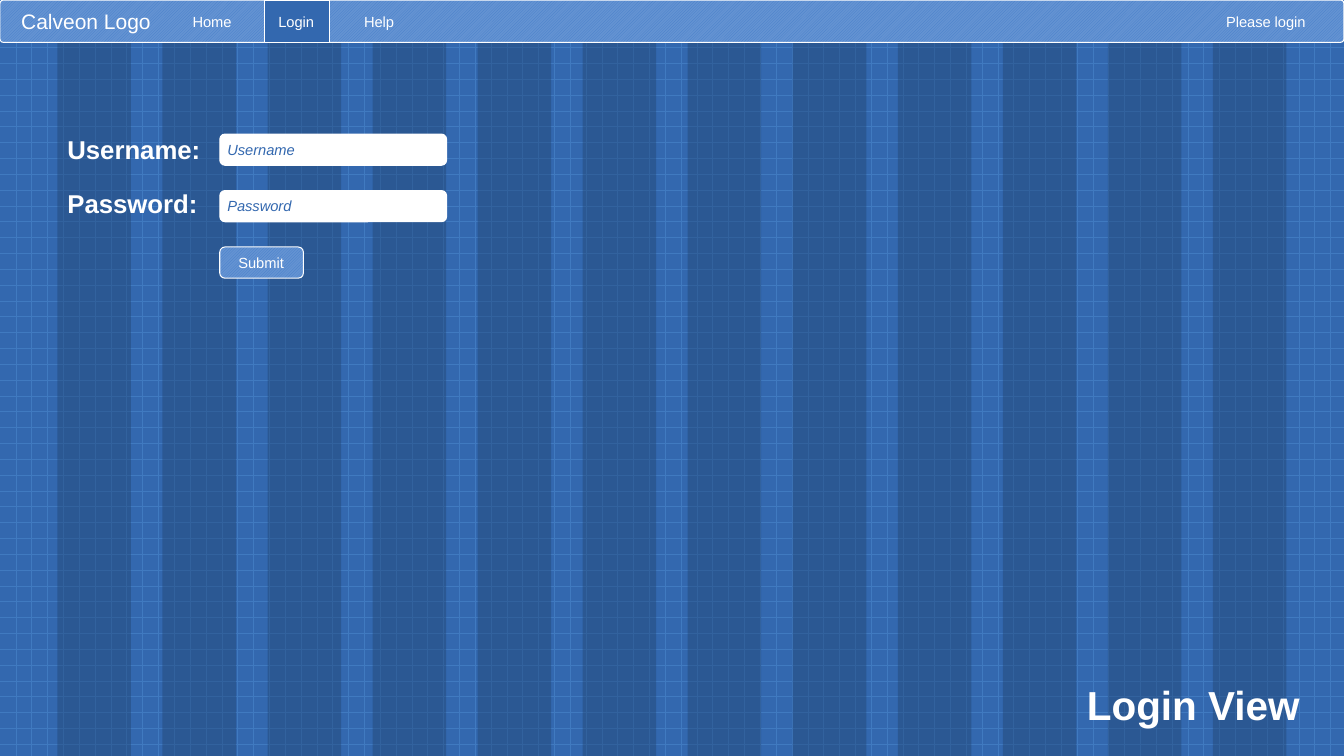
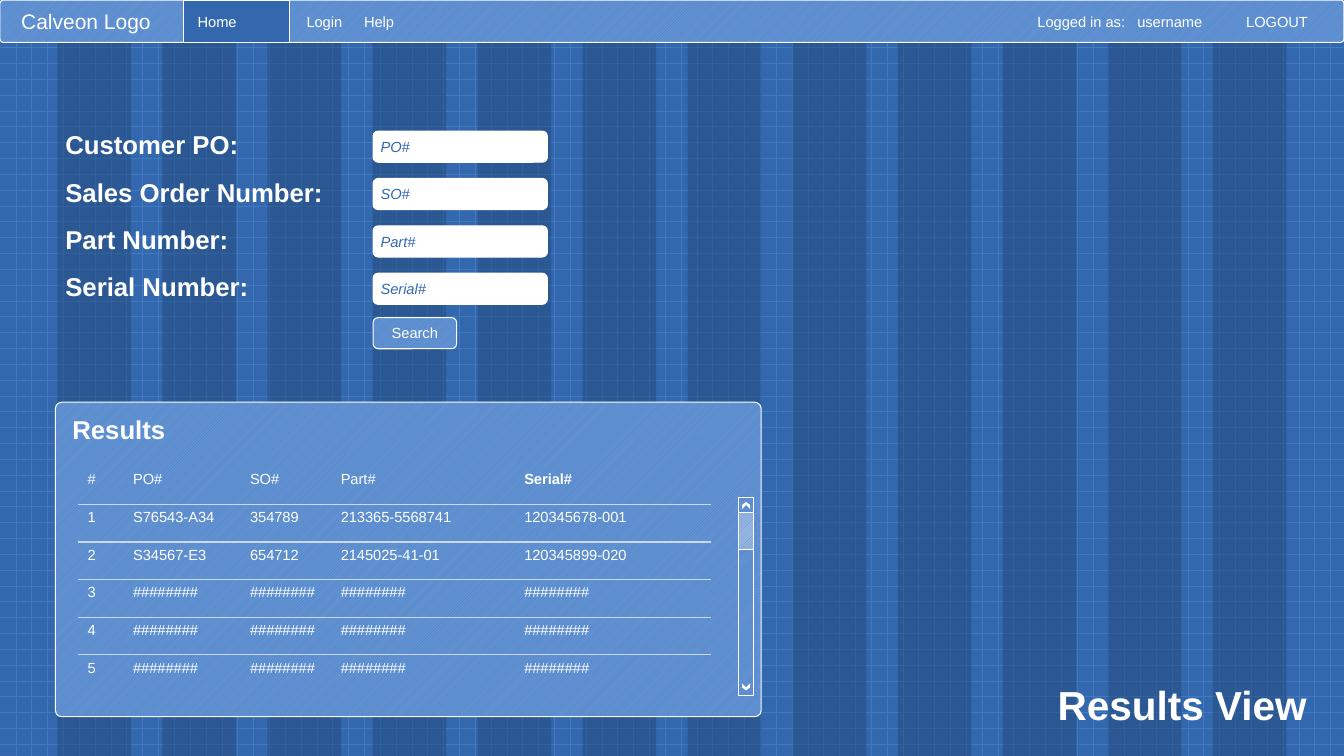
"""Build the login and results view mock-ups."""
from lxml import etree
from pptx import Presentation
from pptx.dml.color import RGBColor
from pptx.enum.dml import MSO_PATTERN
from pptx.enum.shapes import MSO_SHAPE
from pptx.enum.text import MSO_ANCHOR, MSO_AUTO_SIZE, PP_ALIGN
from pptx.oxml.ns import qn
from pptx.util import Inches, Pt

WHITE = RGBColor(0xFF, 0xFF, 0xFF)
BLUE = RGBColor(0x33, 0x68, 0xAF)
GRID = RGBColor(0x40, 0x7A, 0xC0)
STRIPE = RGBColor(0x1F, 0x40, 0x6B)
HATCH = RGBColor(0x43, 0x7C, 0xC9)
PANEL = RGBColor(0x64, 0x93, 0xD2)
THUMB = RGBColor(0x97, 0xB7, 0xE1)
RULE = RGBColor(0xC9, 0xD9, 0xEF)

RECT, ROUND = MSO_SHAPE.RECTANGLE, MSO_SHAPE.ROUNDED_RECTANGLE
TOP, MIDDLE = MSO_ANCHOR.TOP, MSO_ANCHOR.MIDDLE
LEFT, NO_FIT = PP_ALIGN.LEFT, MSO_AUTO_SIZE.NONE
DOTS, DIAGONAL = MSO_PATTERN.DOTTED_GRID, MSO_PATTERN.LIGHT_UPWARD_DIAGONAL

BODY = {"name": "Arial", "size": Pt(10.5), "bold": False, "italic": False}
LOGO = BODY | {"size": Pt(15)}
HINT = BODY | {"italic": True}
LABEL = BODY | {"size": Pt(18.4), "bold": True}
TITLE = BODY | {"size": Pt(28.9), "bold": True}
HATCHED = (HATCH, PANEL)
BAR_H, FIELD_H = 0.42, 0.31


def write(tf, text, fmt, inset=(0.1, 0.05), anchor=MIDDLE, color=WHITE):
    """Put one formatted left-aligned paragraph in a text frame."""
    frame = {"word_wrap": True, "auto_size": NO_FIT, "vertical_anchor": anchor,
             "margin_left": Inches(inset[0]), "margin_right": 0,
             "margin_top": Inches(inset[1]), "margin_bottom": Inches(inset[1])}
    for key, value in frame.items():
        setattr(tf, key, value)
    p = tf.paragraphs[0]
    p.alignment = LEFT
    r = p.add_run()
    r.text = text
    for key, value in fmt.items():
        setattr(r.font, key, value)
    r.font.color.rgb = color


def add_box(shapes, kind, at, fill, line=WHITE, adj=None):
    """Add a preset shape with a solid or hatched fill."""
    sp = shapes.add_shape(kind, *map(Inches, at))
    sp.shadow.inherit = False
    if isinstance(fill, RGBColor):
        sp.fill.solid()
        sp.fill.fore_color.rgb = fill
    else:
        sp.fill.patterned()
        sp.fill.pattern = DIAGONAL
        sp.fill.fore_color.rgb, sp.fill.back_color.rgb = fill
    if line is None:
        sp.line.fill.background()
    else:
        sp.line.color.rgb = line
        sp.line.width = Pt(0.75)
    if adj is not None:
        sp.adjustments[0] = adj
    return sp


VIEWS = [
    {"title": "Login View", "title_x": 10.68,
     "active": ("Login", 2.62, 0.65),
     "nav": [("Home", 1.77, 0.68), ("Help", 3.47, 0.59), ("Please login", 12.02, 1.31)],
     "labels": ["Username:", "Password:"], "label_at": (0.57, 1.28), "label_step": 0.53,
     "hints": ["Username", "Password"], "field_at": (2.18, 1.33), "field_step": 0.56,
     "field_w": 2.25, "button": ("Submit", 2.45)},
    {"title": "Results View", "title_x": 10.39,
     "active": ("Home", 1.82, 1.05),
     "nav": [("Login", 2.9, 0.65), ("Help", 3.47, 0.59), ("Logged in as:", 10.15, 1.1),
             ("username", 11.14, 0.95), ("LOGOUT", 12.22, 1.11)],
     "labels": ["Customer PO:", "Sales Order Number:", "Part Number:", "Serial Number:"],
     "label_at": (0.55, 1.23), "label_step": 0.47,
     "hints": ["PO#", "SO#", "Part#", "Serial#"], "field_at": (3.7, 1.3), "field_step": 0.47,
     "field_w": 1.73, "button": ("Search", 3.15)},
]

prs = Presentation()
prs.slide_width, prs.slide_height = Inches(13.33), Inches(7.5)
master = prs.slide_master
fill = master.background.fill
fill.patterned()
fill.pattern = DOTS
fill.fore_color.rgb, fill.back_color.rgb = GRID, BLUE

for view in VIEWS:
    s = prs.slides.add_slide(prs.slide_layouts[5])
    title = s.shapes.title
    title.left, title.top = Inches(view["title_x"]), Inches(6.7)
    title.width, title.height = Inches(13.33 - view["title_x"]), Inches(0.59)
    write(title.text_frame, view["title"], TITLE, anchor=TOP)

    bar = s.shapes.add_group_shape().shapes
    sp = add_box(bar, ROUND, (0, 0, 13.33, BAR_H), HATCHED, adj=0.08)
    write(sp.text_frame, "Calveon Logo", LOGO, (0.2, 0.05))
    text, x, w = view["active"]
    sp = add_box(bar, RECT, (x, 0, w, BAR_H), BLUE)
    write(sp.text_frame, text, BODY, (0.14, 0))
    for text, x, w in view["nav"]:
        sp = bar.add_textbox(Inches(x), 0, Inches(w), Inches(BAR_H))
        write(sp.text_frame, text, BODY, (0.14, 0))

    x, y = view["label_at"]
    for i, text in enumerate(view["labels"]):
        sp = s.shapes.add_textbox(Inches(x), Inches(y + i * view["label_step"]),
                                  Inches(2.8), Inches(0.41))
        write(sp.text_frame, text, LABEL, anchor=TOP)

    x, y = view["field_at"]
    for i, text in enumerate(view["hints"]):
        at = (x, y + i * view["field_step"], view["field_w"], FIELD_H)
        sp = add_box(s.shapes, ROUND, at, WHITE)
        write(sp.text_frame, text, HINT, (0.06, 0.05), color=BLUE)
    text, y = view["button"]
    sp = add_box(s.shapes, ROUND, (x, y, 0.83, FIELD_H), HATCHED)
    write(sp.text_frame, text, BODY, (0.17, 0.05))

STRIPES = 12
step = (12.03 - 0.57) / (STRIPES - 1)
for i in range(STRIPES):
    sp = add_box(s.shapes, RECT, (0.57 + i * step, 0, 0.73, 7.5), STRIPE, line=None)
    color = sp.element.spPr.find(qn("a:solidFill"))[0]
    etree.SubElement(color, qn("a:alpha"), val="40000")
    sp.element.find(".//" + qn("p:cNvPr")).set("id", str(101 + i))
    master.shapes.element.insert(2 + i, sp.element)

sp = add_box(s.shapes, ROUND, (0.55, 3.99, 7, 3.12), HATCHED, adj=0.02)
write(sp.text_frame, "Results", LABEL, (0.15, 0.1), TOP)

MASKED = "#" * 8
ROWS = [
    ["#", "PO#", "SO#", "Part#", "Serial#"],
    ["1", "S76543-A34", "354789", "213365-5568741", "120345678-001"],
    ["2", "S34567-E3", "654712", "2145025-41-01", "120345899-020"],
] + [[str(n)] + [MASKED] * 4 for n in range(3, 6)]
COL_W = [0.45, 1.16, 0.9, 1.82, 1.95]

gf = s.shapes.add_table(len(ROWS), len(COL_W), Inches(0.77), Inches(4.63),
                        Inches(sum(COL_W)), Inches(2.24))
table = gf.table
table.first_row = table.horz_banding = False
gf.element.find(".//" + qn("a:tableStyleId")).text = "{2D5ABB26-0587-4C30-8999-92F81FD0307C}"
for col, w in zip(table.columns, COL_W):
    col.width = Inches(w)
for i, row in enumerate(ROWS):
    for j, text in enumerate(row):
        cell = table.cell(i, j)
        cell.fill.background()
        p = cell.text_frame.paragraphs[0]
        r = p.add_run()
        r.text = text
        for key, value in (BODY | {"bold": text == "Serial#"}).items():
            setattr(r.font, key, value)
        r.font.color.rgb = WHITE
for tr in list(gf.element.iter(qn("a:tr")))[:-1]:
    for props in tr.iter(qn("a:tcPr")):
        ln = etree.Element(qn("a:lnB"), w=str(Pt(1)))
        solid = etree.SubElement(ln, qn("a:solidFill"))
        etree.SubElement(solid, qn("a:srgbClr"), val=str(RULE))
        props.insert(0, ln)

add_box(s.shapes, RECT, (7.32, 4.94, 0.15, 1.96), HATCHED)
CHEVRON = [(0.08, 0), (0.04, 0.04), (0, 0), (0, 0.04), (0.04, 0.07), (0.08, 0.04)]
for y, sign in ((6.78, 1), (5.05, -1)):
    points = [(Inches(7.36 + dx), Inches(y + sign * dy)) for dx, dy in CHEVRON]
    fb = s.shapes.build_freeform(*points[0])
    fb.add_line_segments(points[1:], close=True)
    sp = fb.convert_to_shape()
    sp.shadow.inherit = False
    sp.fill.solid()
    sp.fill.fore_color.rgb = WHITE
    sp.line.fill.background()
add_box(s.shapes, RECT, (7.32, 5.08, 0.15, 0.37), (PANEL, THUMB))

prs.save("out.pptx")
